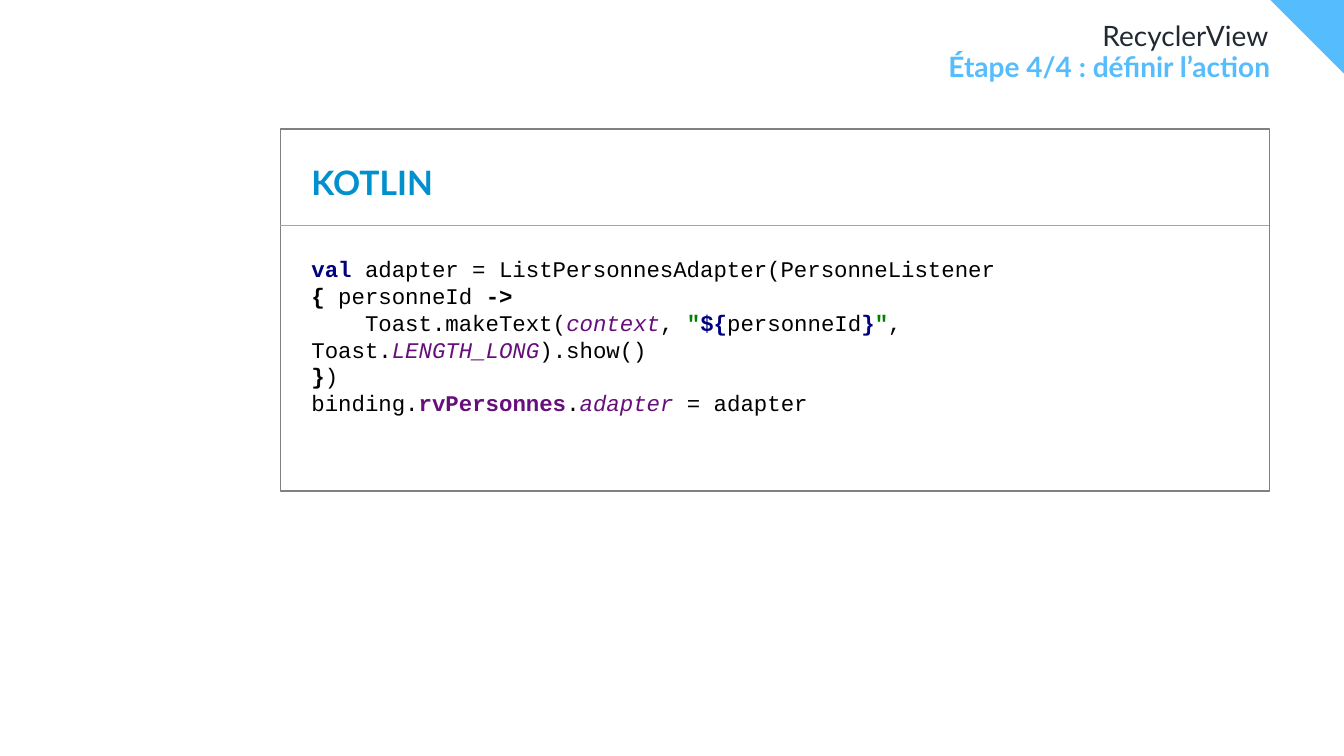
from dataclasses import dataclass

from lxml import etree
from pptx import Presentation, util as u
from pptx.dml.color import RGBColor
from pptx.enum import shapes, text
from pptx.oxml.ns import qn


@dataclass(frozen=True)
class Theme:
    """Colours, fonts and type sizes of the slide."""
    sky: str = "55BDFD"
    ink: str = "222933"
    blue: str = "0090CD"
    white: str = "FFFFFF"
    frame: str = "808080"
    rule: str = "A5A5A5"
    black: str = "000000"
    keyword: str = "000080"
    member: str = "660E7A"
    string: str = "008000"
    heading_font: str = "Lato"
    code_font: str = "Courier New"
    title_size: int = 20
    heading_size: int = 24
    code_size: int = 16


class SlideBuilder:
    """Holds the theme and the current slide, and draws its elements."""

    def __init__(self, presentation, theme):
        """Add a blank slide to the presentation."""
        self.theme = theme
        self.slide = presentation.slides.add_slide(presentation.slide_layouts[6])

    def paint(self, shape, fill, line=None, width=1):
        """Give a shape a fill and an optional outline."""
        shape.shadow.inherit = False
        shape.fill.solid()
        shape.fill.fore_color.rgb = RGBColor.from_string(fill)
        if line:
            shape.line.color.rgb = RGBColor.from_string(line)
            shape.line.width = u.Pt(width)
        else:
            shape.line.fill.background()

    def corner(self, left, size):
        """Draw the triangle in the top right corner."""
        builder = self.slide.shapes.build_freeform(u.Inches(left), 0)
        right = u.Inches(left + size)
        builder.add_line_segments([(right, 0), (right, u.Inches(size))], close=True)
        self.paint(builder.convert_to_shape(), self.theme.sky)

    def rectangle(self, box, line=None):
        """Draw a white rectangle."""
        shape = self.slide.shapes.add_shape(
            shapes.MSO_SHAPE.RECTANGLE, *map(u.Inches, box))
        self.paint(shape, self.theme.white, line)
        return shape

    def divider(self, left, right, top):
        """Draw a thin horizontal line."""
        ends = map(u.Inches, (left, top, right, top))
        line = self.slide.shapes.add_connector(shapes.MSO_CONNECTOR.STRAIGHT, *ends)
        line.line.color.rgb = RGBColor.from_string(self.theme.rule)
        line.line.width = u.Pt(0.5)
        etree.SubElement(line._element.spPr, qn("a:effectLst"))

    def run(self, paragraph, wording, color, **formats):
        """Append a formatted run to a paragraph."""
        run = paragraph.add_run()
        run.text = wording
        run.font.color.rgb = RGBColor.from_string(color)
        for name, value in formats.items():
            setattr(run.font, name, value)

    def label(self, box, wording, color, size, bold, frame_formats, paragraph_formats):
        """Add a one-line text box."""
        shape = self.slide.shapes.add_textbox(*map(u.Inches, box))
        paragraph = shape.text_frame.paragraphs[0]
        for target, formats in ((shape.text_frame, frame_formats),
                                (paragraph, paragraph_formats)):
            for name, value in formats.items():
                setattr(target, name, value)
        self.run(paragraph, wording, color, size=u.Pt(size), bold=bold,
                 name=self.theme.heading_font)

    def code(self, box, lines):
        """Add a block of highlighted code."""
        frame = self.rectangle(box).text_frame
        frame.word_wrap = True
        frame.vertical_anchor = text.MSO_ANCHOR.MIDDLE
        paragraph = frame.paragraphs[0]
        paragraph.alignment = text.PP_ALIGN.LEFT
        for index, line in enumerate(lines):
            if index:
                paragraph.add_line_break()
            for wording, color, style in line:
                self.run(paragraph, wording, color, size=u.Pt(self.theme.code_size),
                         name=self.theme.code_font, bold="b" in style,
                         italic="i" in style)


def main():
    """Build and save the slide."""
    theme = Theme()
    presentation = Presentation()
    presentation.slide_width = u.Inches(13.33)
    presentation.slide_height = u.Inches(7.5)
    builder = SlideBuilder(presentation, theme)

    builder.corner(12.6, 0.73)
    flush = dict.fromkeys(
        ("margin_left", "margin_top", "margin_right", "margin_bottom"), 0)
    flush["word_wrap"] = True
    right = {"alignment": text.PP_ALIGN.RIGHT, "line_spacing": 0.9}
    builder.label((0.37, 0.22, 12.21, 0.31), "RecyclerView", theme.ink,
                  theme.title_size, False, flush, right)
    builder.label((0.37, 0.53, 12.23, 0.43), "Étape 4/4 : définir l’action",
                  theme.sky, theme.title_size, True, flush, right)

    builder.rectangle((2.78, 1.28, 9.81, 3.59), theme.frame)
    builder.divider(2.78, 12.59, 2.24)
    builder.label((2.99, 1.31, 1.46, 0.75), "KOTLIN", theme.blue,
                  theme.heading_size, True,
                  {"vertical_anchor": text.MSO_ANCHOR.BOTTOM, "word_wrap": False},
                  {"alignment": text.PP_ALIGN.LEFT})

    plain, keyword = theme.black, theme.keyword
    member, string = theme.member, theme.string
    builder.code((2.99, 2.47, 8.28, 1.72), [
        [("val ", keyword, "b"),
         ("adapter = ListPersonnesAdapter(PersonneListener ", plain, ""),
         ("{ ", plain, "b"), ("personneId ", plain, ""), ("->", plain, "b")],
        [("    Toast.makeText(", plain, ""), ("context", member, "i"),
         (", ", plain, ""), ('"', string, "b"), ("${", keyword, "b"),
         ("personneId", plain, ""), ("}", keyword, "b"), ('"', string, "b"),
         (", Toast.", plain, ""), ("LENGTH_LONG", member, "i"),
         (").show()", plain, "")],
        [("}", plain, "b"), (")", plain, "")],
        [("binding.", plain, ""), ("rvPersonnes", member, "b"), (".", plain, ""),
         ("adapter ", member, "i"), ("= adapter", plain, "")],
    ])
    presentation.save("out.pptx")


if __name__ == "__main__":
    main()
